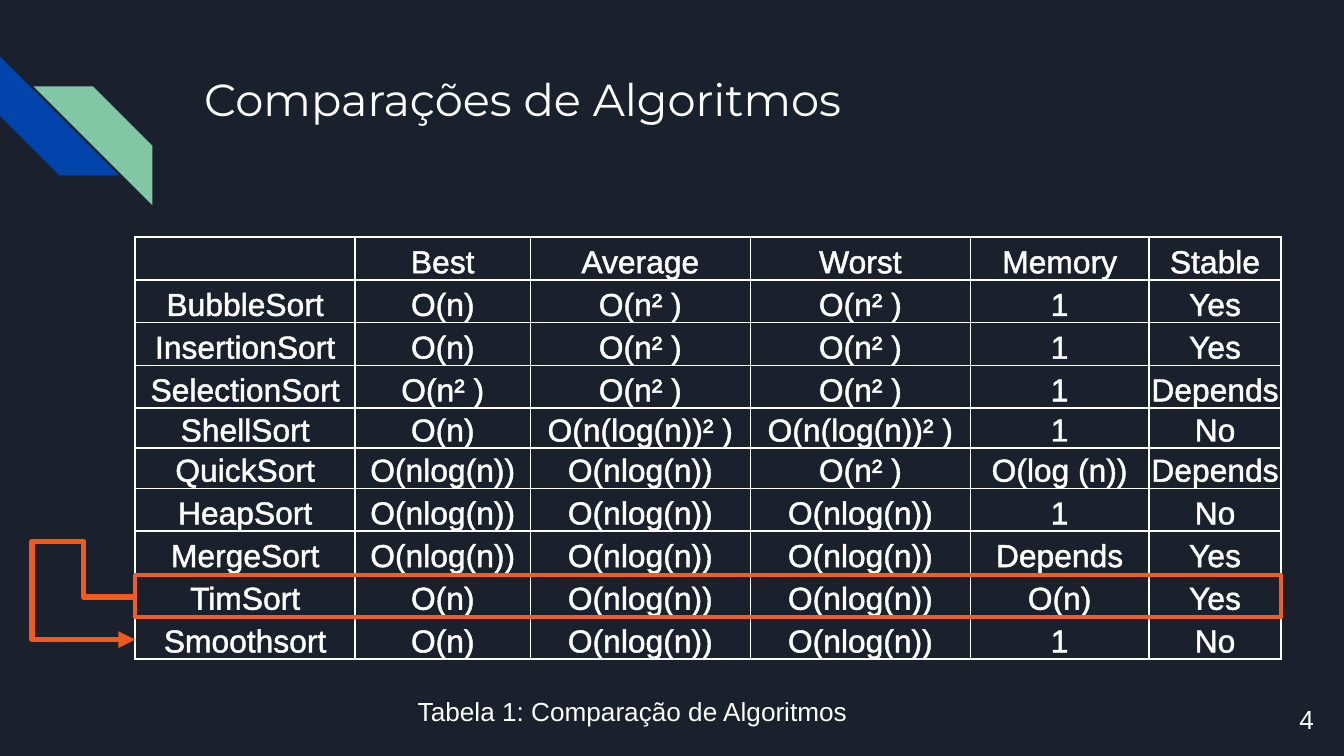
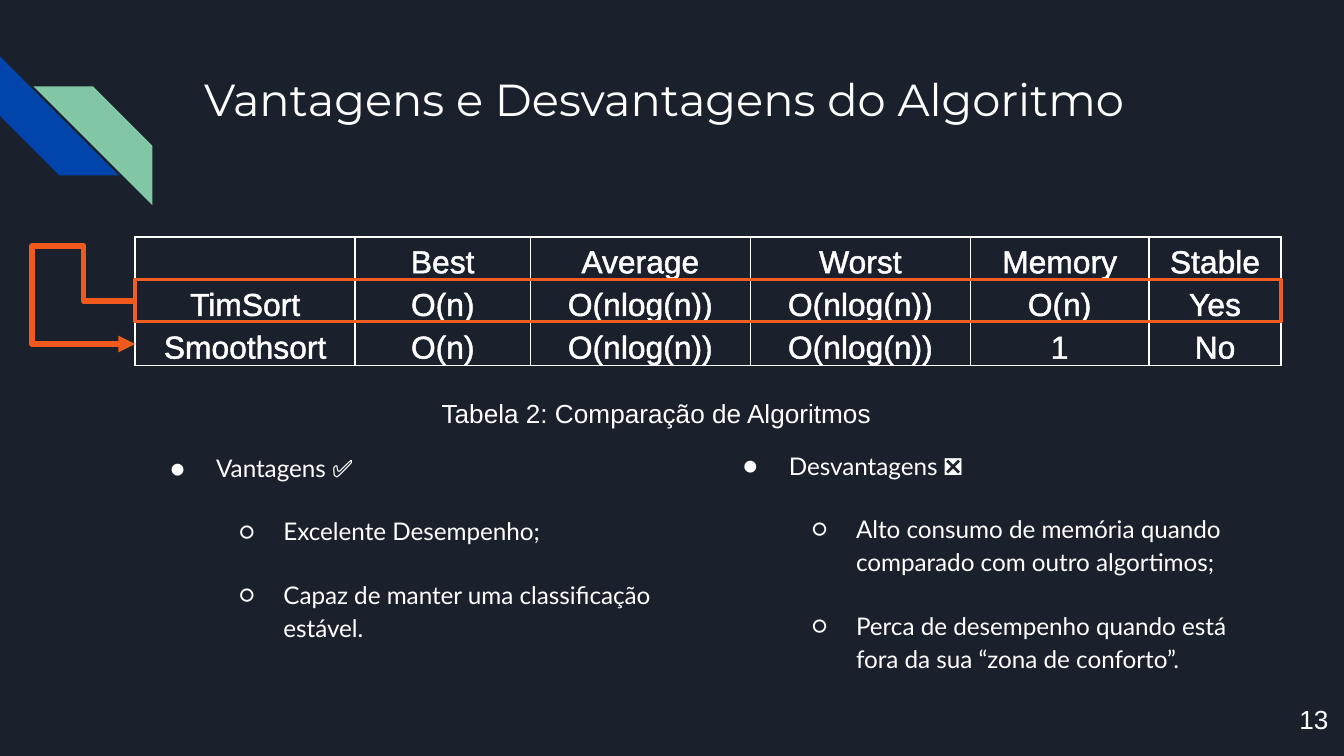
"""Build two slides that compare sorting algorithms."""
from lxml import etree
from pptx import Presentation
from pptx.dml.color import RGBColor
from pptx.enum.shapes import MSO_CONNECTOR, MSO_SHAPE
from pptx.enum.text import MSO_ANCHOR, MSO_AUTO_SIZE, PP_ALIGN
from pptx.oxml.ns import qn
from pptx.util import Pt

ELBOW = MSO_CONNECTOR.ELBOW
STRIPE, RECTANGLE = MSO_SHAPE.DIAGONAL_STRIPE, MSO_SHAPE.RECTANGLE
TOP, BOTTOM = MSO_ANCHOR.TOP, MSO_ANCHOR.BOTTOM
FIT, NO_FIT = MSO_AUTO_SIZE.SHAPE_TO_FIT_TEXT, MSO_AUTO_SIZE.NONE
LEFT, CENTER = PP_ALIGN.LEFT, PP_ALIGN.CENTER

NIGHT = RGBColor(0x1B, 0x21, 0x2C)
BLUE = RGBColor(0x01, 0x45, 0xAC)
GREEN = RGBColor(0x82, 0xC7, 0xA5)
WHITE = RGBColor(0xFF, 0xFF, 0xFF)
FRAME_ORANGE = RGBColor(0xF1, 0x5E, 0x22)
ARROW_ORANGE = RGBColor(0xF1, 0x5A, 0x1C)

TITLE_FONT = {"name": "Montserrat", "size": Pt(24)}
TABLE_FONT = {"name": "Arial", "size": Pt(17)}
LABEL_FONT = {"name": "Arial", "size": Pt(14)}
LIST_FONT = {"name": "Lato", "size": Pt(13)}
CELL_FORMAT = {
    "margin_left": Pt(1.1),
    "margin_right": Pt(1.1),
    "margin_top": Pt(1.1),
    "margin_bottom": 0,
    "vertical_anchor": BOTTOM,
}
BODY_INSETS = {
    f"margin_{side}": Pt(7.2) for side in ("left", "right", "top", "bottom")
}

TABLE_LEFT, TABLE_TOP = 72.4, 127.1
COLUMN_WIDTHS = [117.9, 93.8, 117.9, 117.9, 95.6, 70.9]
TABLE_WIDTH = sum(COLUMN_WIDTHS)
ROW_HEIGHT, SHORT_HEIGHT = 22.9, 20.4
SHORT_ROWS = ("ShellSort", "QuickSort")
ARROW_LEFT = 17.3

LINEAR, SQUARE, LOG = "O(n)", "O(n² )", "O(nlog(n))"
SHELL = "O(n(log(n))² )"
HEADER = ["", "Best", "Average", "Worst", "Memory", "Stable"]
FINALISTS = [
    ["TimSort", LINEAR, LOG, LOG, LINEAR, "Yes"],
    ["Smoothsort", LINEAR, LOG, LOG, "1", "No"],
]
ALGORITHMS = [
    ["BubbleSort", LINEAR, SQUARE, SQUARE, "1", "Yes"],
    ["InsertionSort", LINEAR, SQUARE, SQUARE, "1", "Yes"],
    ["SelectionSort", SQUARE, SQUARE, SQUARE, "1", "Depends"],
    ["ShellSort", LINEAR, SHELL, SHELL, "1", "No"],
    ["QuickSort", LOG, LOG, SQUARE, "O(log (n))", "Depends"],
    ["HeapSort", LOG, LOG, LOG, "1", "No"],
    ["MergeSort", LOG, LOG, LOG, "Depends", "Yes"],
    *FINALISTS,
]
ADVANTAGES = [
    "Vantagens ✅",
    "Excelente Desempenho;",
    "Capaz de manter uma classificação estável.",
]
DRAWBACKS = [
    "Desvantagens ❎",
    "Alto consumo de memória quando comparado com outro algortimos;",
    "Perca de desempenho quando está fora da sua “zona de conforto”.",
]


def set_values(target, values):
    """Set each named attribute of the target."""
    for name, value in values.items():
        setattr(target, name, value)


def add_element(parent, tag, **attributes):
    """Append a DrawingML element to the parent."""
    element = etree.SubElement(parent, qn(tag))
    for name, value in attributes.items():
        element.set(name, str(value))
    return element


def add_white(parent):
    """Append a white solid fill to the parent."""
    fill = add_element(parent, "a:solidFill")
    add_element(fill, "a:srgbClr", val=WHITE)


def write(para, text, font):
    """Add a white run to a paragraph."""
    span = para.add_run()
    span.text = text
    set_values(span.font, font)
    span.font.color.rgb = WHITE
    return span


def add_stripe(page, left, top, color, rotation):
    """Draw one diagonal stripe of the corner mark."""
    stripe = page.shapes.add_shape(STRIPE, Pt(left), Pt(top), Pt(63.7), Pt(63.7))
    stripe.rotation = rotation
    stripe.shadow.inherit = False
    stripe.fill.solid()
    stripe.fill.fore_color.rgb = color
    stripe.line.fill.background()


def add_label(page, left, top, width, text):
    """Add a one-line text that does not wrap."""
    box = page.shapes.add_textbox(Pt(left), Pt(top), Pt(width), Pt(24.5))
    set_values(box.text_frame, {"word_wrap": False, "auto_size": FIT})
    write(box.text_frame.paragraphs[0], text, LABEL_FONT)


def add_page(deck, title, number, number_width):
    """Add a slide with the corner mark, title and page number."""
    page = deck.slides.add_slide(deck.slide_layouts[5])
    add_stripe(page, 0, 30.2, BLUE, 270)
    add_stripe(page, 18, 46.3, GREEN, 90)
    heading = page.shapes.title
    set_values(heading, {"left": Pt(102.2), "top": Pt(31),
                         "width": Pt(554.4), "height": Pt(72)})
    frame = heading.text_frame
    set_values(frame, {**BODY_INSETS, "word_wrap": True,
                       "auto_size": NO_FIT, "vertical_anchor": TOP})
    para = frame.paragraphs[0]
    para.alignment = LEFT
    write(para, title, TITLE_FONT)
    add_label(page, 689, 373.4, number_width, number)
    return page


def format_cell(cell, text):
    """Fill one table cell with outlined text and white borders."""
    set_values(cell, CELL_FORMAT)
    properties = cell._tc.get_or_add_tcPr()
    for tag in ("a:lnL", "a:lnR", "a:lnT", "a:lnB"):
        add_white(add_element(properties, tag, w=Pt(1)))
    cell.fill.background()
    para = cell.text_frame.paragraphs[0]
    para.alignment = CENTER
    if text:
        span = write(para, text, TABLE_FONT)
        outline = add_element(span.font._element, "a:ln", w=Pt(0.75))
        add_white(outline)
        span.font._element.insert(0, outline)


def add_comparison(page, algorithms):
    """Add the complexity table."""
    rows = [HEADER, *algorithms]
    heights = [SHORT_HEIGHT if row[0] in SHORT_ROWS else ROW_HEIGHT
               for row in rows]
    table = page.shapes.add_table(
        len(rows), len(HEADER), Pt(TABLE_LEFT), Pt(TABLE_TOP),
        Pt(TABLE_WIDTH), Pt(sum(heights))).table
    set_values(table, {"first_row": False, "horz_banding": False})
    for column, width in zip(table.columns, COLUMN_WIDTHS):
        column.width = Pt(width)
    for index, (row, height) in enumerate(zip(rows, heights)):
        table.rows[index].height = Pt(height)
        for position, text in enumerate(row):
            format_cell(table.cell(index, position), text)


def add_elbow(page, start, end):
    """Draw an orange elbow connector."""
    elbow = page.shapes.add_connector(ELBOW, *map(Pt, start + end))
    elbow.line.color.rgb = ARROW_ORANGE
    elbow.line.width = Pt(3)
    add_element(elbow._element.spPr, "a:effectLst")
    return elbow


def add_highlight(page, top):
    """Frame the TimSort row and lead an arrow to the row below."""
    frame = page.shapes.add_shape(
        RECTANGLE, Pt(TABLE_LEFT), Pt(top), Pt(TABLE_WIDTH), Pt(22.5))
    frame.shadow.inherit = False
    frame.fill.background()
    frame.line.color.rgb = FRAME_ORANGE
    frame.line.width = Pt(2)
    corner = (ARROW_LEFT, top - 18)
    add_elbow(page, (TABLE_LEFT, top + 11.5), corner)
    arrow = add_elbow(page, corner, (TABLE_LEFT, top + 34.5))
    add_element(arrow.line._get_or_add_ln(), "a:tailEnd", type="triangle")
    adjustments = arrow._element.spPr.find(qn("a:prstGeom")).find(qn("a:avLst"))
    add_element(adjustments, "a:gd", name="adj1", fmla="val -300")


def add_list(page, left, top, items):
    """Add a bulleted heading with its indented points."""
    box = page.shapes.add_textbox(Pt(left), Pt(top), Pt(287.3), Pt(141))
    frame = box.text_frame
    set_values(frame, {**BODY_INSETS, "word_wrap": True})
    for index, text in enumerate(items):
        para = frame.add_paragraph() if index else frame.paragraphs[0]
        level = min(index, 1)
        properties = para._p.get_or_add_pPr()
        properties.set("marL", str(Pt(36 * (level + 1))))
        properties.set("indent", str(Pt((-24.5, -23.8)[level])))
        color = add_element(properties, "a:buClr")
        add_element(color, "a:srgbClr", val=WHITE)
        add_element(properties, "a:buSzPts", val=1300)
        add_element(properties, "a:buFont", typeface=LIST_FONT["name"])
        add_element(properties, "a:buChar", char="●○"[level])
        set_values(para, {"level": level, "line_spacing": 1.15,
                          "space_before": Pt(16 * level)})
        write(para, text, LIST_FONT)


def main():
    """Build and save the deck."""
    deck = Presentation()
    set_values(deck, {"slide_width": Pt(720), "slide_height": Pt(405)})
    background = deck.slide_master.background.fill
    background.solid()
    background.fore_color.rgb = NIGHT

    page = add_page(deck, "Comparações de Algoritmos", "4", 22.3)
    add_comparison(page, ALGORITHMS)
    add_highlight(page, 308.2)
    add_label(page, 216.7, 368.9, 247.7, "Tabela 1: Comparação de Algoritmos")

    page = add_page(deck, "Vantagens e Desvantagens do Algoritmo", "13", 30.2)
    add_comparison(page, FINALISTS)
    add_highlight(page, 149.8)
    add_label(page, 229.5, 209.1, 247.7, "Tabela 2: Comparação de Algoritmos")
    add_list(page, 72.7, 233.3, ADVANTAGES)
    add_list(page, 379.5, 232, DRAWBACKS)

    deck.save("out.pptx")


if __name__ == "__main__":
    main()
